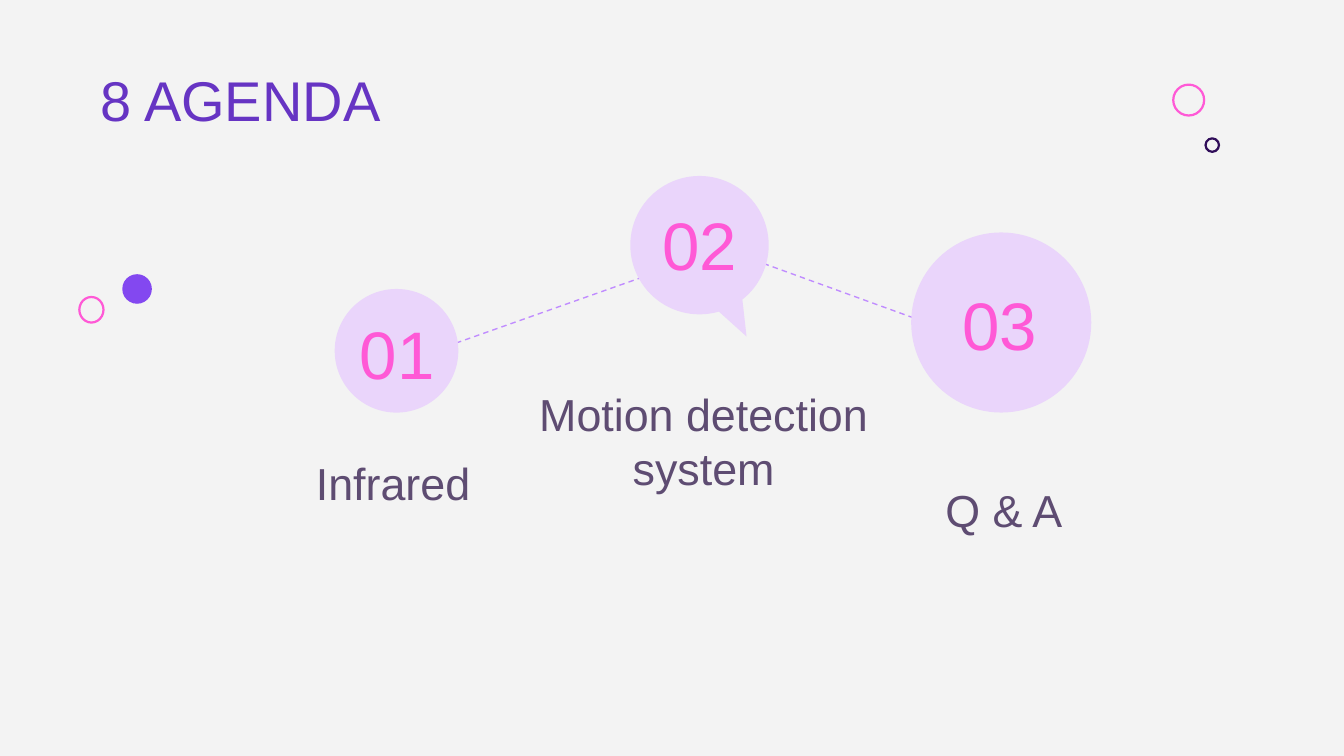
import pptx
import pptx.util
import pptx.dml.color
from pptx.enum.dml import MSO_LINE
from pptx.enum.shapes import MSO_CONNECTOR, MSO_SHAPE
from pptx.enum.text import MSO_ANCHOR, PP_ALIGN
from pptx.oxml.xmlchemy import OxmlElement

Inches = pptx.util.Inches
Pt = pptx.util.Pt

BACKGROUND = "F3F3F3"
VIOLET = "6634C3"
PURPLE = "8348F0"
LILAC = "EAD5FB"
DASH = "C08CFF"
PINK = "FF59D6"
INDIGO = "300D59"
PLUM = "5E4C72"


def rgb(hex_code):
    return pptx.dml.color.RGBColor.from_string(hex_code)


def inches(box):
    return [Inches(length) for length in box]


def add_words(slide, box, words, size, color,
              anchor=MSO_ANCHOR.TOP, alignment=PP_ALIGN.LEFT):
    frame = slide.shapes.add_textbox(*inches(box)).text_frame
    frame_format = {"word_wrap": True, "vertical_anchor": anchor}
    for side in ("left", "top", "right", "bottom"):
        frame_format[f"margin_{side}"] = Inches(0.1)
    for name, value in frame_format.items():
        setattr(frame, name, value)
    paragraph = frame.paragraphs[0]
    paragraph.alignment = alignment
    run = paragraph.add_run()
    run.text = words
    for name, value in {"name": "Arial", "size": Pt(size)}.items():
        setattr(run.font, name, value)
    run.font.color.rgb = rgb(color)


def add_bubble(slide, box, color, preset=MSO_SHAPE.OVAL):
    bubble = slide.shapes.add_shape(preset, *inches(box))
    bubble.shadow.inherit = False
    bubble.fill.solid()
    bubble.fill.fore_color.rgb = rgb(color)
    bubble.line.fill.background()
    return bubble


def add_ring(slide, box, color):
    ring = add_bubble(slide, box, color)
    ring.fill.background()
    ring.line.color.rgb = rgb(color)
    ring.line.width = Pt(1.2)


def add_dashed_link(slide, start, end):
    link = slide.shapes.add_connector(
        MSO_CONNECTOR.STRAIGHT, *inches(start), *inches(end))
    link.line.color.rgb = rgb(DASH)
    link.line.width = Pt(0.75)
    link.line.dash_style = MSO_LINE.DASH
    link._element.spPr.append(OxmlElement("a:effectLst"))


def add_corner_dots(slide, left, top):
    add_ring(slide, (left + 0.06, top, 0.23, 0.23), PINK)
    add_ring(slide, (left + 0.3, top + 0.4, 0.1, 0.1), INDIGO)


def add_side_dots(slide, left, top):
    add_bubble(slide, (left + 0.32, top, 0.22, 0.22), PURPLE)
    add_ring(slide, (left, top + 0.17, 0.18, 0.19), PINK)


def add_step(slide, box, number, number_box, topic, topic_box, tail=None):
    """Place a numbered bubble, with a speech tail if its tip is given."""
    if tail:
        bubble = add_bubble(slide, box, LILAC, MSO_SHAPE.OVAL_CALLOUT)
        for index, offset in enumerate(tail):
            bubble.adjustments[index] = offset
    else:
        add_bubble(slide, box, LILAC)
    add_words(slide, number_box, number, 36, PINK,
              MSO_ANCHOR.MIDDLE, PP_ALIGN.CENTER)
    add_words(slide, topic_box, topic, 24, PLUM,
              MSO_ANCHOR.BOTTOM, PP_ALIGN.CENTER)


def add_agenda(slide):
    add_dashed_link(slide, (5.21, 1.79), (7.39, 2.58))
    add_dashed_link(slide, (2.92, 2.72), (5.24, 1.9))
    steps = [
        ((2.49, 2.15, 0.92, 0.92), "01", (2.56, 2.31, 0.79, 0.63),
         "Infrared", (1.99, 2.96, 1.87, 0.93)),
        ((4.69, 1.31, 1.03, 1.03), "02", (4.48, 1.5, 1.45, 0.63),
         "Motion detection system", (3.72, 3.07, 3.03, 0.71), (0.34, 0.66)),
        ((6.78, 1.73, 1.34, 1.34), "03", (6.78, 2.09, 1.32, 0.63),
         "Q & A", (5.92, 3.13, 3.1, 0.96)),
    ]
    for step in steps:
        add_step(slide, *step)


def main():
    deck = pptx.Presentation()
    deck.slide_width = Inches(10)
    deck.slide_height = deck.slide_width * 9 // 16
    slide = deck.slides.add_slide(deck.slide_layouts[6])
    slide.background.fill.solid()
    slide.background.fill.fore_color.rgb = rgb(BACKGROUND)
    add_corner_dots(slide, 8.67, 0.63)
    add_side_dots(slide, 0.59, 2.04)
    add_words(slide, (0.65, 0.39, 7.36, 0.71), "8 AGENDA", 30, VIOLET)
    add_agenda(slide)
    deck.save("out.pptx")


if __name__ == "__main__":
    main()
